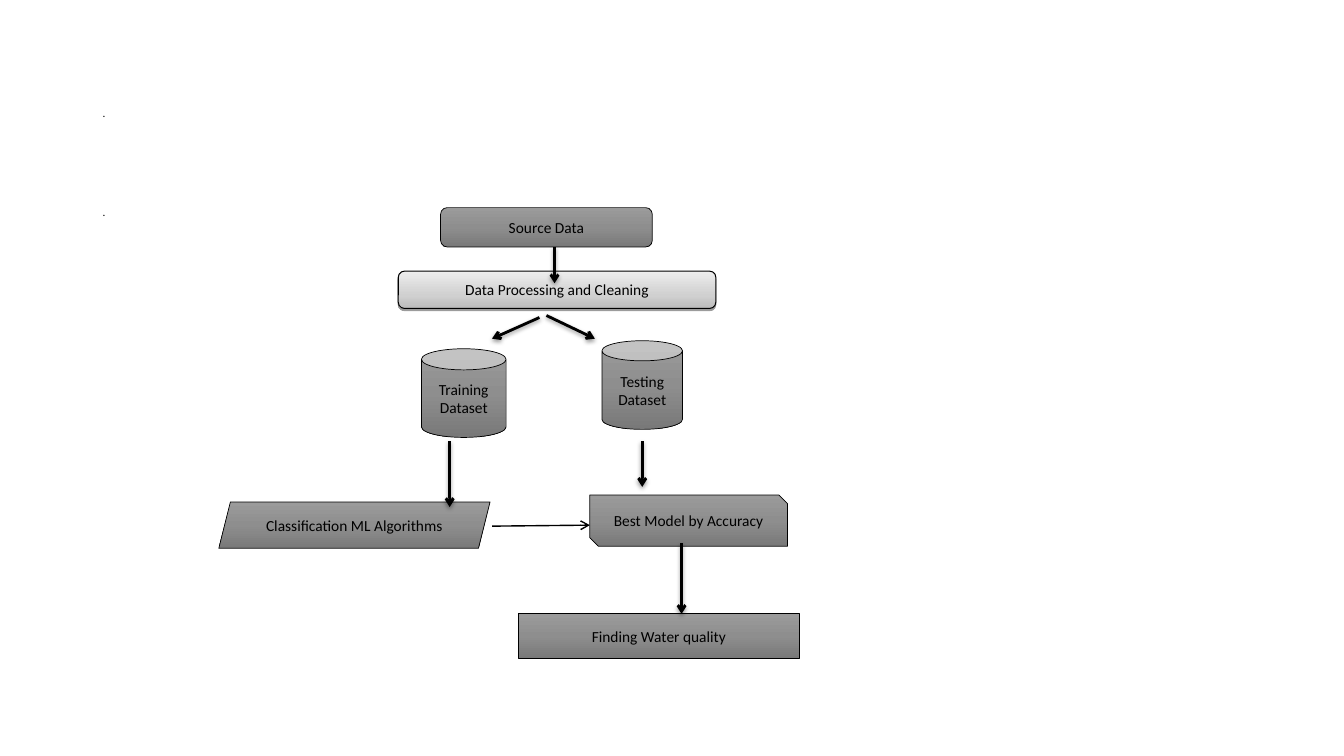
from lxml import etree
from pptx import Presentation
from pptx.dml.color import RGBColor
from pptx.enum import shapes, text
from pptx.oxml import ns
from pptx.util import Inches, Pt

BLACK = RGBColor(0x00, 0x00, 0x00)
GRAY = [(0, RGBColor(0x9B, 0x9B, 0x9B)), (50, RGBColor(0x8E, 0x8E, 0x8E)),
        (100, RGBColor(0x79, 0x79, 0x79))]
LIGHT = [(0, RGBColor(0xED, 0xED, 0xED)), (65, RGBColor(0xD0, 0xD0, 0xD0)),
         (100, RGBColor(0xBC, 0xBC, 0xBC))]
KIND = shapes.MSO_SHAPE


def child(parent, tag, **attrs):
    return etree.SubElement(parent, ns.qn(tag), {k: str(v) for k, v in attrs.items()})


def add_shadow(effects, blur):
    shadow = child(effects, "a:outerShdw", blurRad=Pt(blur), dist=Pt(1.6),
                   dir=5400000, rotWithShape=0)
    color = child(shadow, "a:srgbClr", val=BLACK)
    child(color, "a:alpha", val=38000)


def fill_gradient(sp, stops):
    sp.fill.gradient()
    sp.fill.gradient_angle = 270
    stop_list = sp._element.spPr.find(".//" + ns.qn("a:gsLst"))
    for old in list(stop_list):
        stop_list.remove(old)
    for position, color in stops:
        stop = child(stop_list, "a:gs", pos=position * 1000)
        child(stop, "a:srgbClr", val=color)


def set_text(tf, words, size, anchor):
    tf.word_wrap = True
    tf.vertical_anchor = anchor
    p = tf.paragraphs[0]
    p.text = words
    p.font.size = Pt(size)
    p.font.name = "Calibri"
    p.font.color.rgb = BLACK
    return p


def add_dot(s, left, top, width, height, anchor, before=0):
    box = s.shapes.add_textbox(*map(Inches, (left, top, width, height)))
    p = set_text(box.text_frame, ".", 8, anchor)
    p.line_spacing = 0.9
    p.space_before = Pt(before)


def add_step(s, kind, words, left, top, width, height, stops=GRAY, line=0.5):
    sp = s.shapes.add_shape(kind, *map(Inches, (left, top, width, height)))
    fill_gradient(sp, stops)
    sp.line.color.rgb = BLACK
    sp.line.width = Pt(line)
    sp.shadow.inherit = False
    p = set_text(sp.text_frame, words, 11, text.MSO_ANCHOR.MIDDLE)
    p.alignment = text.PP_ALIGN.CENTER
    return sp


def add_arrow(s, x1, y1, x2, y2, width=2, shadow=True):
    arrow = s.shapes.add_connector(shapes.MSO_CONNECTOR.STRAIGHT,
                                   *map(Inches, (x1, y1, x2, y2)))
    arrow.line.color.rgb = BLACK
    arrow.line.width = Pt(width)
    child(arrow.line._get_or_add_ln(), "a:tailEnd", type="arrow")
    effects = child(arrow._element.spPr, "a:effectLst")
    if shadow:
        add_shadow(effects, 3.1)


def main():
    prs = Presentation()
    prs.slide_width, prs.slide_height = Inches(13.33), Inches(7.5)
    s = prs.slides.add_slide(prs.slide_layouts[6])

    add_dot(s, 0.92, 0.4, 11.5, 1.45, text.MSO_ANCHOR.MIDDLE)
    add_dot(s, 0.92, 2, 11.5, 4.76, text.MSO_ANCHOR.TOP, before=10)

    add_step(s, KIND.ROUNDED_RECTANGLE, "Source Data", 4.37, 2.06, 2.1, 0.39)
    cleaning = add_step(s, KIND.ROUNDED_RECTANGLE, "Data Processing and Cleaning",
                        3.95, 2.69, 3.15, 0.37, LIGHT, 0.75)
    add_shadow(cleaning._element.spPr.find(ns.qn("a:effectLst")), 0)
    add_step(s, KIND.CAN, "Testing Dataset", 5.97, 3.38, 0.8, 0.88)
    add_step(s, KIND.SNIP_2_DIAG_RECTANGLE, "Best Model by Accuracy",
             5.85, 4.91, 1.96, 0.51)
    add_step(s, KIND.RECTANGLE, "Finding Water quality", 5.14, 6.09, 2.79, 0.44)
    add_step(s, KIND.PARALLELOGRAM, "Classification ML Algorithms",
             2.17, 4.98, 2.69, 0.46)
    add_step(s, KIND.CAN, "Training Dataset", 4.18, 3.46, 0.84, 0.88)

    add_arrow(s, 4.88, 5.22, 5.85, 5.21, width=1, shadow=False)
    for ends in [(6.76, 5.39, 6.76, 6.09), (4.46, 4.38, 4.46, 5.03),
                 (6.37, 4.38, 6.37, 4.83), (5.35, 3.15, 4.88, 3.36),
                 (5.42, 3.13, 5.9, 3.36), (5.5, 2.45, 5.5, 2.81)]:
        add_arrow(s, *ends)

    prs.save("out.pptx")


if __name__ == "__main__":
    main()
